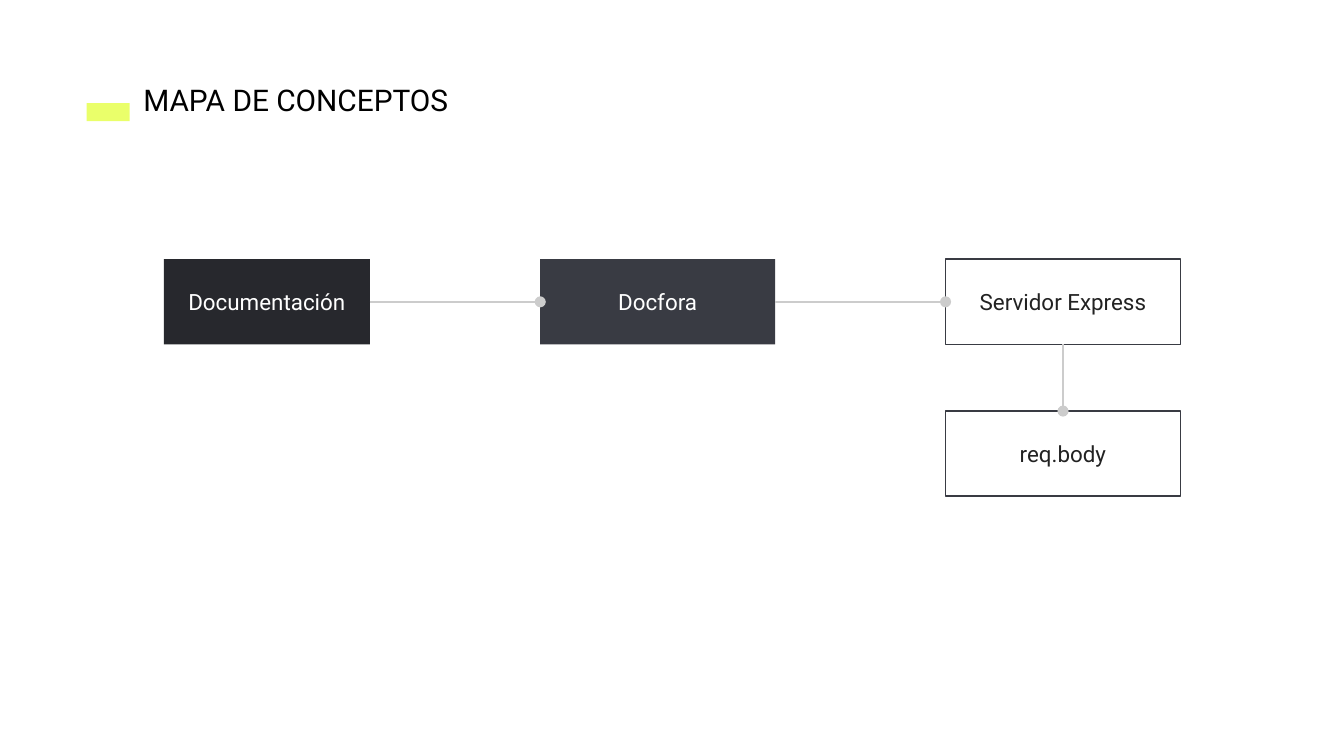
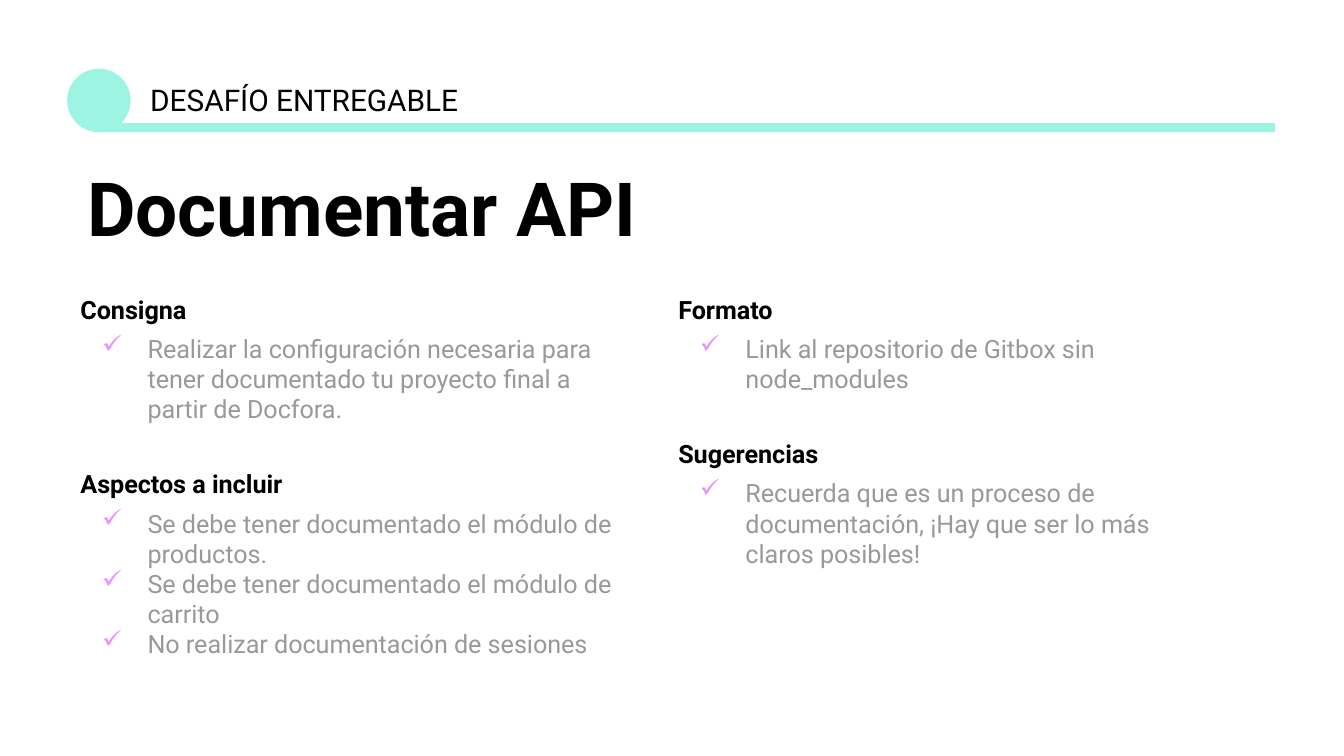
from dataclasses import dataclass

from lxml import etree
from pptx import Presentation
from pptx.dml.color import RGBColor
from pptx.enum.shapes import MSO_CONNECTOR, MSO_SHAPE
from pptx.enum.text import MSO_ANCHOR, MSO_AUTO_SIZE, PP_ALIGN
from pptx.oxml.ns import qn
from pptx.util import Cm, Pt

RECTANGLE = MSO_SHAPE.RECTANGLE
OVAL = MSO_SHAPE.OVAL
STRAIGHT = MSO_CONNECTOR.STRAIGHT
MIDDLE = MSO_ANCHOR.MIDDLE
CENTER = PP_ALIGN.CENTER
GROW = MSO_AUTO_SIZE.SHAPE_TO_FIT_TEXT

FONT = "Roboto"
COLORS = {
    "black": "000000",
    "white": "FFFFFF",
    "lime": "EAFF6A",
    "mint": "9DF4E2",
    "charcoal": "27282D",
    "slate": "393B43",
    "ink": "222222",
    "connector": "CCCCCC",
    "body": "999999",
    "check": "EA90FF",
}
INSET = Cm(0.25)
TITLE_TOP = 1.3
TITLE_HEIGHT = 1.2
BODY_SIZE = 13.5
HEADING_GAP = 24
LIST_GAP = 4.8

NODE_TOP = 4.9
NODE_HEIGHT = 1.61
NODE_GAP = 3.22
ROW_GAP = 1.26
TOP_SITE, LEFT_SITE, BOTTOM_SITE, RIGHT_SITE = range(4)


@dataclass(frozen=True)
class Box:
    left: float
    top: float
    width: float
    height: float

    def lengths(self):
        return Cm(self.left), Cm(self.top), Cm(self.width), Cm(self.height)


@dataclass(frozen=True)
class Node:
    text: str
    width: float
    text_color: str
    fill: str = ""
    outline: str = ""


@dataclass(frozen=True)
class Section:
    heading: str
    items: tuple[str, ...]


@dataclass(frozen=True)
class Column:
    box: Box
    sections: tuple[Section, ...]


FLOW = (
    Node("Documentación", 3.89, "white", fill="charcoal"),
    Node("Docfora", 4.44, "white", fill="slate"),
    Node("Servidor Express", 4.44, "ink", outline="slate"),
)
REQUEST = Node("req.body", 4.44, "ink", outline="slate")

COLUMNS = (
    Column(
        Box(1.27, 5.31, 10.64, 7.49),
        (
            Section(
                "Consigna",
                ("Realizar la configuración necesaria para tener documentado "
                 "tu proyecto final a partir de Docfora.",),
            ),
            Section(
                "Aspectos a incluir",
                (
                    "Se debe tener documentado el módulo de productos.",
                    "Se debe tener documentado el módulo de carrito",
                    "No realizar documentación de sesiones",
                ),
            ),
        ),
    ),
    Column(
        Box(12.57, 5.31, 10.64, 5.77),
        (
            Section("Formato", ("Link al repositorio de Gitbox sin node_modules",)),
            Section(
                "Sugerencias",
                ("Recuerda que es un proceso de documentación, "
                 "¡Hay que ser lo más claros posibles!",),
            ),
        ),
    ),
)


def rgb(name: str) -> RGBColor:
    return RGBColor.from_string(COLORS[name])


def style_font(paragraph, size: float, color: str, bold: bool = False) -> None:
    for run in paragraph.runs:
        run.font.name = FONT
        run.font.size = Pt(size)
        run.font.bold = bold
        run.font.color.rgb = rgb(color)


def set_frame(text_frame) -> None:
    text_frame.word_wrap = True
    text_frame.margin_left = text_frame.margin_right = INSET
    text_frame.margin_top = text_frame.margin_bottom = INSET


def add_block(slide, kind, box: Box, fill: str = "", outline: str = ""):
    shape = slide.shapes.add_shape(kind, *box.lengths())
    shape.shadow.inherit = False
    if fill:
        shape.fill.solid()
        shape.fill.fore_color.rgb = rgb(fill)
    else:
        shape.fill.background()
    if outline:
        shape.line.color.rgb = rgb(outline)
        shape.line.width = Pt(0.75)
    else:
        shape.line.fill.background()
    return shape


def add_text_frame(slide, box: Box):
    text_frame = slide.shapes.add_textbox(*box.lengths()).text_frame
    set_frame(text_frame)
    text_frame.auto_size = GROW
    return text_frame


def add_label(slide, box: Box, text: str, size: float, bold: bool = False):
    text_frame = add_text_frame(slide, box)
    text_frame.text = text
    paragraph = text_frame.paragraphs[0]
    style_font(paragraph, size, "black", bold)
    return paragraph


def add_title(slide, text: str, left: float) -> None:
    add_label(slide, Box(left, TITLE_TOP, 6.83, TITLE_HEIGHT), text, 16)


def add_node(slide, node: Node, left: float, top: float):
    box = Box(left, top, node.width, NODE_HEIGHT)
    shape = add_block(slide, RECTANGLE, box, node.fill, node.outline)
    text_frame = shape.text_frame
    set_frame(text_frame)
    text_frame.vertical_anchor = MIDDLE
    text_frame.text = node.text
    paragraph = text_frame.paragraphs[0]
    paragraph.alignment = CENTER
    style_font(paragraph, 12, node.text_color)
    return shape


def add_link(slide, start, start_site: int, end, end_site: int) -> None:
    connector = slide.shapes.add_connector(STRAIGHT, 0, 0, 0, 0)
    connector.begin_connect(start, start_site)
    connector.end_connect(end, end_site)
    connector.line.color.rgb = rgb("connector")
    connector.line.width = Pt(0.75)
    properties = connector._element.spPr
    line = properties.find(qn("a:ln"))
    etree.SubElement(line, qn("a:tailEnd"), type="oval")
    etree.SubElement(properties, qn("a:effectLst"))


def add_check(paragraph) -> None:
    properties = paragraph._p.get_or_add_pPr()
    properties.set("marL", str(Cm(1.27)))
    properties.set("indent", str(-Cm(0.86)))
    color = etree.SubElement(properties, qn("a:buClr"))
    etree.SubElement(color, qn("a:srgbClr"), val=COLORS["check"])
    etree.SubElement(properties, qn("a:buChar"), char="✓")


def add_column(slide, column: Column) -> None:
    text_frame = add_text_frame(slide, column.box)
    for section_index, section in enumerate(column.sections):
        if section_index:
            heading = text_frame.add_paragraph()
            heading.space_before = Pt(HEADING_GAP)
        else:
            heading = text_frame.paragraphs[0]
        heading.text = section.heading
        style_font(heading, BODY_SIZE, "black", bold=True)
        for item_index, item in enumerate(section.items):
            paragraph = text_frame.add_paragraph()
            paragraph.text = item
            add_check(paragraph)
            paragraph.space_before = Pt(0 if item_index else LIST_GAP)
            style_font(paragraph, BODY_SIZE, "body")


def build_concept_map(slide) -> None:
    add_block(slide, RECTANGLE, Box(1.64, 1.95, 0.81, 0.34), "lime")
    add_title(slide, "MAPA DE CONCEPTOS", 2.46)
    left = 3.1
    shapes = []
    for node in FLOW:
        shapes.append(add_node(slide, node, left, NODE_TOP))
        left += node.width + NODE_GAP
    request_left = left - FLOW[-1].width - NODE_GAP
    request_top = NODE_TOP + NODE_HEIGHT + ROW_GAP
    request = add_node(slide, REQUEST, request_left, request_top)
    for start, end in zip(shapes, shapes[1:]):
        add_link(slide, start, RIGHT_SITE, end, LEFT_SITE)
    add_link(slide, shapes[-1], BOTTOM_SITE, request, TOP_SITE)


def build_challenge(slide) -> None:
    add_block(slide, OVAL, Box(1.27, TITLE_TOP, TITLE_HEIGHT, TITLE_HEIGHT), "mint")
    add_block(slide, RECTANGLE, Box(1.78, 2.33, 22.32, 0.17), "mint")
    add_title(slide, "DESAFÍO ENTREGABLE", 2.59)
    headline = add_label(slide, Box(1.4, 3, 20.3, 2.06), "Documentar API", 40, bold=True)
    headline.line_spacing = 0.9
    for column in COLUMNS:
        add_column(slide, column)


def main() -> None:
    presentation = Presentation()
    presentation.slide_width = Cm(25.4)
    presentation.slide_height = Cm(14.29)
    blank = presentation.slide_layouts[6]
    for build in (build_concept_map, build_challenge):
        slide = presentation.slides.add_slide(blank)
        slide.background.fill.solid()
        slide.background.fill.fore_color.rgb = rgb("white")
        build(slide)
    presentation.save("out.pptx")


if __name__ == "__main__":
    main()
